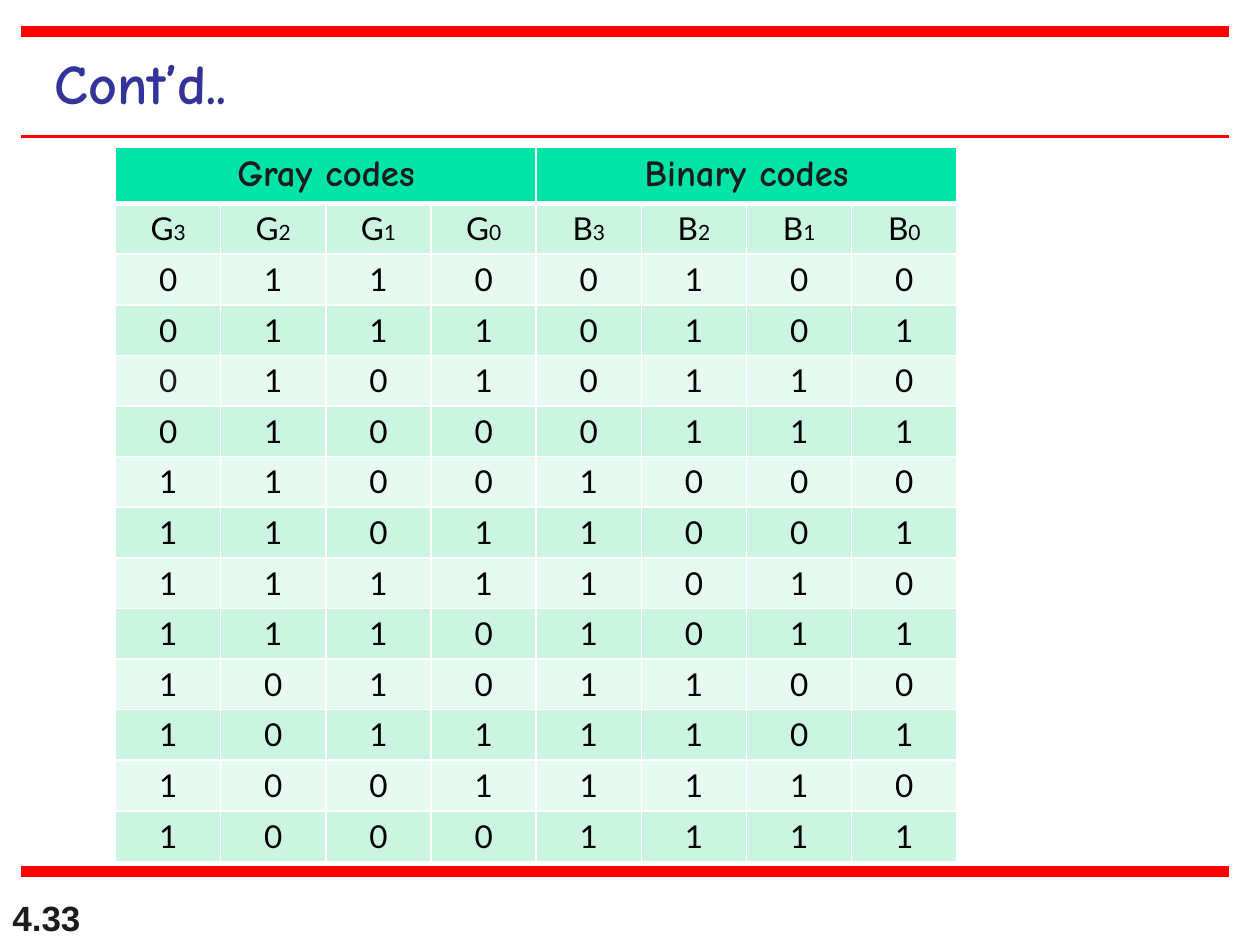
from lxml.etree import SubElement
from pptx import Presentation
from pptx.dml.color import RGBColor
from pptx.enum.shapes import MSO_CONNECTOR
from pptx.enum.text import MSO_ANCHOR, MSO_AUTO_SIZE, PP_ALIGN
from pptx.oxml.ns import qn
from pptx.util import Cm, Pt

HUES = {
    "rule": "FF0000", "title": "333399", "dark": "1C1C1C", "black": "000000",
    "edge": "FFFFFF", "head": "00E4A8", "odd": "CBF5E1", "even": "E7FAF1",
}


def style(run, size, face, hue, bold=False):
    font = run.font
    font.size, font.name, font.bold = Pt(size), face, bold
    font.color.rgb = RGBColor.from_string(HUES[hue])


def edge(cell, side, width):
    line = SubElement(cell._tc.get_or_add_tcPr(), qn("a:ln" + side), w=str(Pt(width)))
    fill = SubElement(line, qn("a:solidFill"))
    SubElement(fill, qn("a:srgbClr"), val=HUES["edge"])


deck = Presentation()
deck.slide_width, deck.slide_height = Cm(25.4), Cm(19.05)
slide = deck.slides.add_slide(deck.slide_layouts[5])
shapes = slide.shapes

# Title
title = shapes.title
title.left, title.top, title.width, title.height = Cm(0.85), Cm(0.85), Cm(4.88), Cm(1.62)
frame = title.text_frame
frame.text = "Cont’d.."
frame.word_wrap = False
frame.auto_size = MSO_AUTO_SIZE.SHAPE_TO_FIT_TEXT
frame.vertical_anchor = MSO_ANCHOR.TOP
para = frame.paragraphs[0]
para.alignment = PP_ALIGN.LEFT
style(para.runs[0], 32, "Comic Neue", "title", True)

# Page number
box = shapes.add_textbox(Cm(0), Cm(17.78), Cm(5.28), Cm(1.27))
frame = box.text_frame
frame.text = "4.33"
frame.word_wrap = True
frame.vertical_anchor = MSO_ANCHOR.BOTTOM
style(frame.paragraphs[0].runs[0], 20, "Arial", "dark", True)

# Red rules
for y, width in [(0.64, 6), (2.75, 1.5), (17.57, 6)]:
    rule = shapes.add_connector(MSO_CONNECTOR.STRAIGHT, Cm(0.43), Cm(y), Cm(24.77), Cm(y))
    rule.line.color.rgb = RGBColor.from_string(HUES["rule"])
    rule.line.width = Pt(width)
    SubElement(rule._element.spPr, qn("a:effectLst"))

# Table text: two heads, bit names, then the Gray and binary codes of 4 to 15
rows = [
    ["Gray codes", "", "", "", "Binary codes", "", "", ""],
    [name + bit for name in "GB" for bit in "3210"],
]
rows += [list(f"{n ^ n >> 1:04b}{n:04b}") for n in range(4, 16)]

# Table grid
table = shapes.add_table(len(rows), 8, Cm(2.33), Cm(2.96), Cm(16.96), Cm(14.4)).table
for col in table.columns:
    col.width = Cm(2.12)
for r, row in enumerate(table.rows):
    row.height = Cm(1.02 if r else 1.14)
for c in (0, 4):
    table.cell(0, c).merge(table.cell(0, c + 3))

# Table cells
for r, row in enumerate(rows):
    for c, text in enumerate(row):
        cell = table.cell(r, c)
        for side in "LRTB":
            thick = (r, side) in [(0, "B"), (1, "T")]
            edge(cell, side, 3 if thick else 1)
        cell.fill.solid()
        hue = "head" if r == 0 else "odd" if r % 2 else "even"
        cell.fill.fore_color.rgb = RGBColor.from_string(HUES[hue])
        if not text:
            continue
        para = cell.text_frame.paragraphs[0]
        para.alignment = PP_ALIGN.CENTER
        for i, part in enumerate(text if r else [text]):
            run = para.add_run()
            run.text = part
            if r == 0:
                style(run, 21, "Comic Neue", "dark", True)
            else:
                ink = "dark" if (r, c) == (4, 0) else "black"
                style(run, 12 if i else 18, "Lato", ink)

deck.save("out.pptx")
